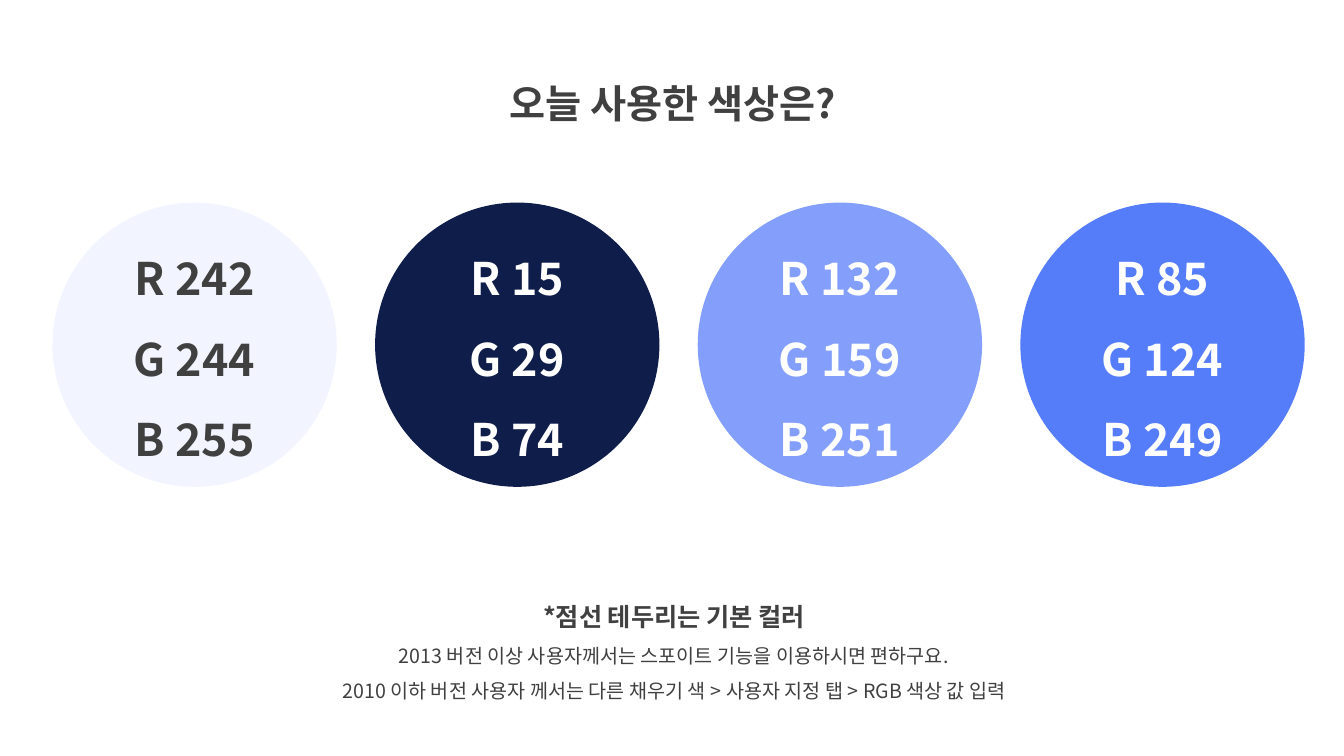
from lxml.etree import SubElement
from pptx import Presentation
from pptx.dml.color import RGBColor
from pptx.enum.shapes import MSO_SHAPE as Shape
from pptx.enum.text import MSO_ANCHOR as Anchor, MSO_AUTO_SIZE as AutoSize, PP_ALIGN as Align
from pptx.oxml.ns import qn
from pptx.util import Inches, Pt

COLORS = {
    "text": "404040",
    "white": "FFFFFF",
    "pale": "F2F4FF",
    "navy": "0F1D4A",
    "light": "849FFB",
    "blue": "557CF9",
}


class PaletteSlide:
    """Holds the style and the slide, and adds its elements."""

    font = "Noto Sans CJK KR"
    line_spacing = 1.5

    def __init__(self, presentation):
        """Add a slide with a title and a body."""
        self.slide = presentation.slides.add_slide(presentation.slide_layouts[1])

    def color(self, name):
        """Return a named colour."""
        return RGBColor.from_string(COLORS[name])

    def add_lines(self, frame, lines, color="text"):
        """Fill a text frame with centred lines of (text, size, bold)."""
        frame.word_wrap = True
        for index, (text, size, bold) in enumerate(lines):
            paragraph = frame.add_paragraph() if index else frame.paragraphs[0]
            paragraph.alignment = Align.CENTER
            paragraph.line_spacing = self.line_spacing
            paragraph.space_before = Pt(0)
            properties = paragraph._p.get_or_add_pPr()
            properties.set("marL", "0")
            properties.set("indent", "0")
            SubElement(properties, qn("a:buNone"))
            run = paragraph.add_run()
            run.text = text
            run.font.size = Pt(size)
            run.font.bold = bold
            run.font.color.rgb = self.color(color)
            run.font.name = self.font
            SubElement(run._r.get_or_add_rPr(), qn("a:ea")).set("typeface", self.font)

    def placeholder(self, index, left, top, width, height, lines):
        """Move a placeholder and fill in its lines."""
        shape = self.slide.placeholders[index]
        shape.left, shape.top = Inches(left), Inches(top)
        shape.width, shape.height = Inches(width), Inches(height)
        shape.text_frame.auto_size = AutoSize.SHAPE_TO_FIT_TEXT
        shape.text_frame.vertical_anchor = Anchor.TOP
        self.add_lines(shape.text_frame, lines)

    def swatch(self, left, top, size, fill, text_color):
        """Add a circle labelled with the RGB values of its fill."""
        shape = self.slide.shapes.add_shape(
            Shape.OVAL, Inches(left), Inches(top), Inches(size), Inches(size))
        shape.shadow.inherit = False
        shape.fill.solid()
        shape.fill.fore_color.rgb = self.color(fill)
        shape.line.fill.background()
        shape.text_frame.vertical_anchor = Anchor.MIDDLE
        lines = [(f"{letter} {value}", 32, True)
                 for letter, value in zip("RGB", self.color(fill))]
        self.add_lines(shape.text_frame, lines, text_color)


def main():
    """Build and save the colour palette slide."""
    presentation = Presentation()
    presentation.slide_width = Inches(13.33)
    presentation.slide_height = Inches(7.5)
    palette = PaletteSlide(presentation)
    palette.placeholder(0, 4.36, 0.5, 4.63, 0.72, [("오늘 사용한 색상은?", 28, True)])
    palette.placeholder(1, 2.69, 5.77, 7.99, 1.26, [
        ("*점선 테두리는 기본 컬러", 18, True),
        ("2013 버전 이상 사용자께서는 스포이트 기능을 이용하시면 편하구요.", 14, False),
        ("2010 이하 버전 사용자 께서는 다른 채우기 색 > 사용자 지정 탭 > RGB 색상 값 입력", 14, False),
    ])
    swatches = [("pale", "text"), ("navy", "white"), ("light", "white"), ("blue", "white")]
    for column, (fill, text_color) in enumerate(swatches):
        palette.swatch(0.52 + column * 3.2, 2.01, 2.82, fill, text_color)
    presentation.save("out.pptx")


if __name__ == "__main__":
    main()
